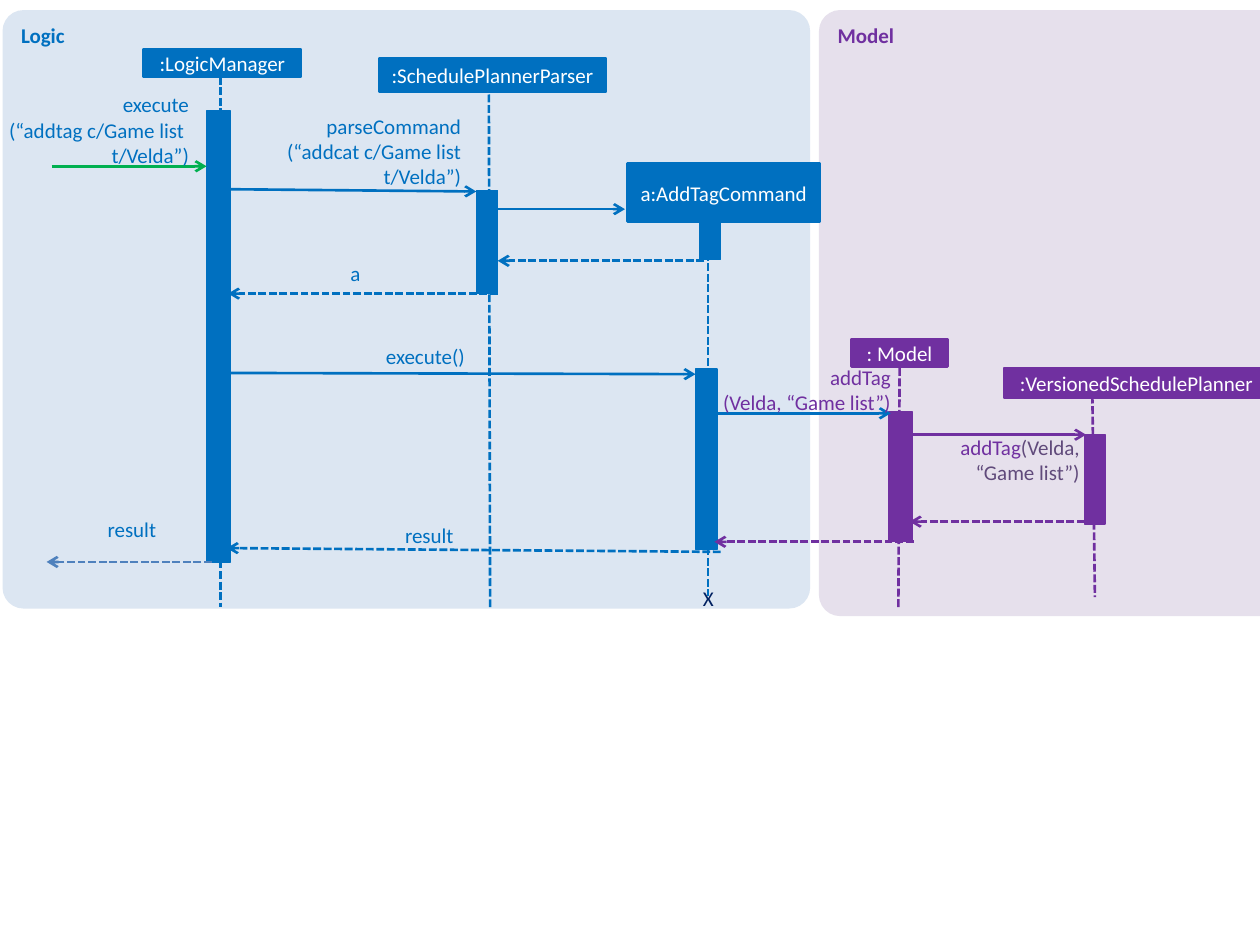
from lxml import etree
from pptx import Presentation
from pptx.dml.color import RGBColor
from pptx.enum.dml import MSO_LINE
from pptx.enum.shapes import MSO_CONNECTOR, MSO_SHAPE
from pptx.enum.text import MSO_ANCHOR, PP_ALIGN
from pptx.oxml.ns import qn
from pptx.util import Inches, Pt

RECT, ROUND = MSO_SHAPE.RECTANGLE, MSO_SHAPE.ROUNDED_RECTANGLE
STRAIGHT = MSO_CONNECTOR.STRAIGHT
DASH = MSO_LINE.SQUARE_DOT
LEFT, CENTER, RIGHT = PP_ALIGN.LEFT, PP_ALIGN.CENTER, PP_ALIGN.RIGHT
TOP, MIDDLE = MSO_ANCHOR.TOP, MSO_ANCHOR.MIDDLE
BLUE, PURPLE, GREEN, WHITE = "0070C0", "7030A0", "00B050", "FFFFFF"


def rgb(value):
    return RGBColor.from_string(value)


def write(tf, text, color=BLUE, align=RIGHT, anchor=TOP, bold=False,
          margins=(0, 0), wrap=True):
    tf.word_wrap = wrap
    tf.vertical_anchor = anchor
    tf.margin_left = tf.margin_right = Inches(margins[0])
    tf.margin_top = tf.margin_bottom = Inches(margins[1])
    for i, line in enumerate(text.split("\n")):
        p = tf.paragraphs[0] if i == 0 else tf.add_paragraph()
        p.alignment = align
        add_run(p, line, color, bold)


def add_run(p, text, color, bold=False):
    r = p.add_run()
    r.text = text
    r.font.name, r.font.size, r.font.bold = "Calibri", Pt(12), bold
    r.font.color.rgb = rgb(color)


class SequenceDiagram:
    def __init__(self, slide):
        self.shapes = slide.shapes

    def box(self, kind, at, fill, line=None):
        sp = self.shapes.add_shape(kind, *map(Inches, at))
        sp.shadow.inherit = False
        sp.fill.solid()
        sp.fill.fore_color.rgb = rgb(fill)
        if line:
            sp.line.color.rgb = rgb(fill)
            sp.line.width = Pt(line)
        else:
            sp.line.fill.background()
        return sp

    def panel(self, at, name, fill, color):
        sp = self.box(ROUND, at, fill)
        sp.adjustments[0] = 0.035
        write(sp.text_frame, name, color=color, align=LEFT, bold=True,
              margins=(0.1, 0.05))

    def participant(self, at, name, color):
        sp = self.box(RECT, at, color, 1.5)
        write(sp.text_frame, name, color=WHITE, align=CENTER, anchor=MIDDLE)

    def activation(self, at, color):
        self.box(RECT, at, color, 0.75)

    def line(self, start, end, color, dashed=False, arrow=True):
        c = self.shapes.add_connector(STRAIGHT, *map(Inches, start + end))
        c.line.color.rgb = rgb(color)
        c.line.width = Pt(1.5)
        if dashed:
            c.line.dash_style = DASH
        if arrow:
            ln = c.line._get_or_add_ln()
            etree.SubElement(ln, qn("a:tailEnd"), type="arrow")
        etree.SubElement(c._element.spPr, qn("a:effectLst"))

    def label(self, at, text, **fmt):
        sp = self.shapes.add_textbox(*map(Inches, at))
        write(sp.text_frame, text, **fmt)
        return sp.text_frame


prs = Presentation()
prs.slide_width, prs.slide_height = Inches(10), Inches(7.5)
s = prs.slides.add_slide(prs.slide_layouts[6])
d = SequenceDiagram(s)

d.panel((6.5, 0.08, 6.84, 4.81), "Model", "E6E0EC", PURPLE)
d.panel((0.02, 0.08, 6.41, 4.75), "Logic", "DCE6F2", BLUE)

for start, end, color in [
    ((1.75, 0.61), (1.75, 4.82), BLUE),
    ((3.88, 0.75), (3.89, 4.82), BLUE),
    ((5.62, 1.84), (5.62, 4.73), BLUE),
    ((7.14, 2.92), (7.13, 4.82), PURPLE),
    ((8.67, 3.14), (8.69, 4.74), PURPLE),
]:
    d.line(start, end, color, dashed=True, arrow=False)

for at, color in [
    ((1.64, 0.88, 0.19, 3.58), BLUE),
    ((3.78, 1.51, 0.17, 0.82), BLUE),
    ((5.55, 1.76, 0.17, 0.3), BLUE),
    ((5.52, 2.93, 0.17, 1.43), BLUE),
    ((7.05, 3.27, 0.19, 1.03), PURPLE),
    ((8.61, 3.45, 0.16, 0.71), PURPLE),
]:
    d.activation(at, color)

for at, name, color in [
    ((1.14, 0.39, 1.25, 0.22), ":LogicManager", BLUE),
    ((3.01, 0.46, 1.8, 0.27), ":SchedulePlannerParser", BLUE),
    ((4.98, 1.3, 1.53, 0.46), "a:AddTagCommand", BLUE),
    ((6.76, 2.69, 0.76, 0.22), ": Model", PURPLE),
    ((7.97, 2.92, 2.1, 0.24), ":VersionedSchedulePlanner", PURPLE),
]:
    d.participant(at, name, color)

for start, end, color in [
    ((0.41, 1.32), (1.64, 1.32), GREEN),
    ((1.64, 1.5), (3.78, 1.52), BLUE),
    ((3.95, 1.66), (4.96, 1.66), BLUE),
    ((1.82, 2.96), (5.52, 2.97), BLUE),
    ((5.56, 3.28), (7.07, 3.28), BLUE),
    ((7.13, 3.45), (8.62, 3.45), PURPLE),
]:
    d.line(start, end, color)

for start, end, color in [
    ((5.59, 2.07), (3.95, 2.07), BLUE),
    ((3.95, 2.33), (1.81, 2.33), BLUE),
    ((8.61, 4.14), (7.22, 4.14), PURPLE),
    ((7.25, 4.3), (5.67, 4.3), PURPLE),
    ((5.72, 4.38), (1.8, 4.35), BLUE),
    ((1.68, 4.46), (0.37, 4.46), "4F81BD"),
]:
    d.line(start, end, color, dashed=True)

for at, text, color in [
    ((-0.75, 0.73, 2.25, 0.61), "execute\n(“addtag c/Game list \nt/Velda”)", BLUE),
    ((1.46, 0.9, 2.2, 0.61), "parseCommand\n(“addcat c/Game list\nt/Velda”)", BLUE),
    ((2.39, 2.07, 0.47, 0.2), "a", BLUE),
    ((2.75, 2.73, 0.94, 0.2), "execute()", BLUE),
    ((5.2, 2.89, 1.87, 0.4), "addTag\n(Velda, “Game list”)", PURPLE),
    ((2.92, 4.15, 0.68, 0.2), "result", BLUE),
    ((0.41, 4.1, 0.83, 0.2), "result", BLUE),
]:
    d.label(at, text, color=color)

tf = d.label((7.2, 3.45, 1.37, 0.4), "addTag", color=PURPLE)
add_run(tf.paragraphs[0], "(Velda, “Game list”)", "604A7B")
d.label((5.48, 4.6, 0.29, 0.3), "X", color="002060", align=LEFT,
        margins=(0.1, 0.05), wrap=False)

prs.save("out.pptx")
